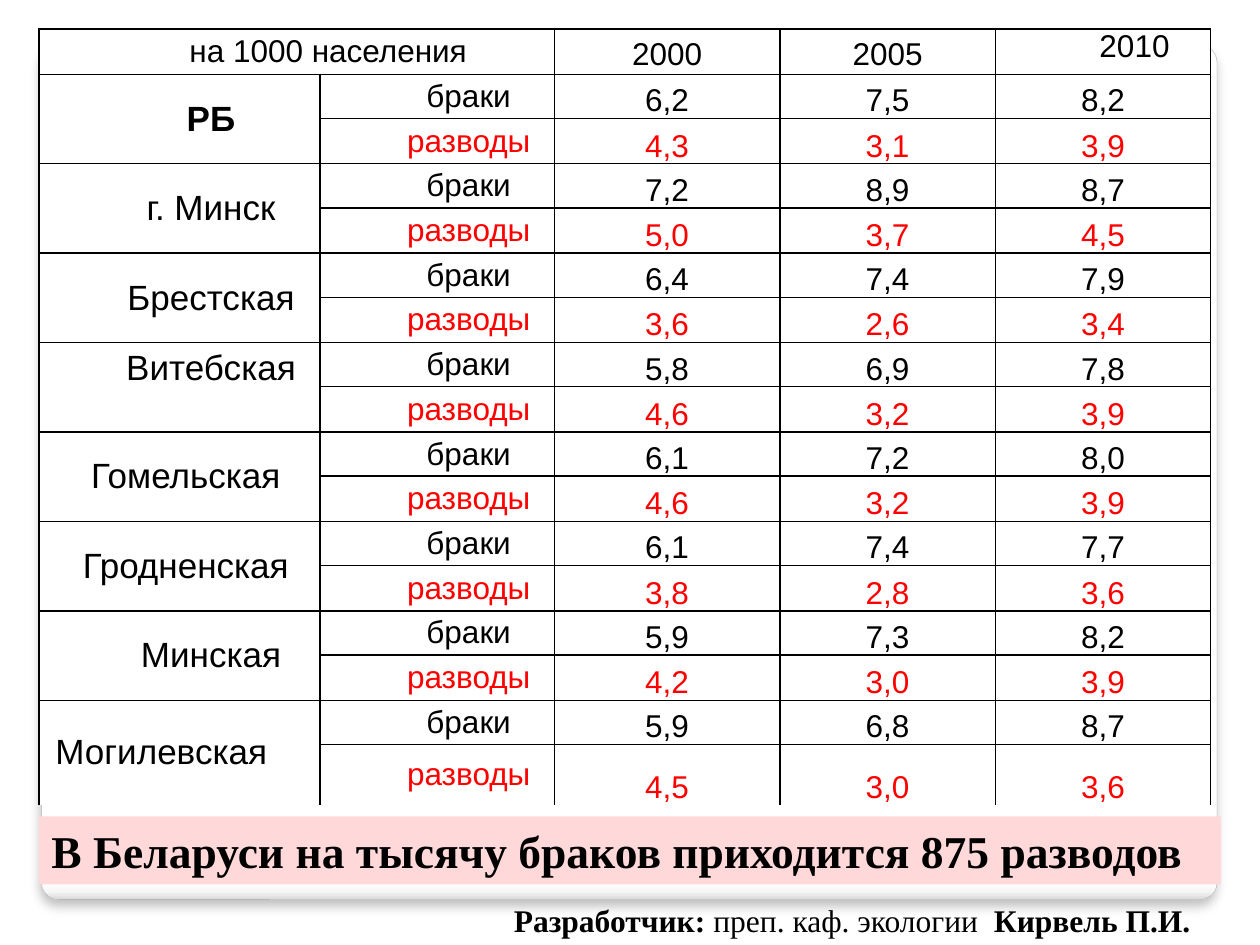
from lxml.etree import SubElement
from pptx import Presentation
from pptx.dml.color import RGBColor
from pptx.enum.shapes import MSO_SHAPE
from pptx.enum.text import MSO_ANCHOR, MSO_AUTO_SIZE, PP_ALIGN
from pptx.oxml.ns import qn
from pptx.util import Inches, Pt

HUES = {"ink": "000000", "red": "FF0000", "white": "FFFFFF",
        "pink": "FFD9D9", "edge": "A4A4A4"}
SHADE = [(0, "FFFFFF"), (98, "FFFFFF"), (99, "F7F7F7"), (100, "DADADA")]
COLS = [2.23, 1.86, 1.79, 1.71, 1.71]
ROWS = [0.36, 0.35] * 8 + [0.48]
YEARS = ["2000", "2005", "2010"]

# Region, first-line indent, marriages, divorces
DATA = [
    ("РБ", 0.5, "6,2 7,5 8,2", "4,3 3,1 3,9"),
    ("г. Минск", 0.5, "7,2 8,9 8,7", "5,0 3,7 4,5"),
    ("Брестская", 0.5, "6,4 7,4 7,9", "3,6 2,6 3,4"),
    ("Витебская", 0.5, "5,8 6,9 7,8", "4,6 3,2 3,9"),
    ("Гомельская", 0.1, "6,1 7,2 8,0", "4,6 3,2 3,9"),
    ("Гродненская", 0.1, "6,1 7,4 7,7", "3,8 2,8 3,6"),
    ("Минская", 0.5, "5,9 7,3 8,2", "4,2 3,0 3,9"),
    ("Могилевская", 0.1, "5,9 6,8 8,7", "4,5 3,0 3,6"),
]


def color(name):
    return RGBColor.from_string(HUES[name])


def style(font, size, face, hue="ink", bold=False):
    font.size, font.name, font.bold = Pt(size), face, bold
    font.color.rgb = color(hue)


def add_card(slide):
    card = slide.shapes.add_shape(MSO_SHAPE.ROUNDED_RECTANGLE, Inches(0.33),
                                  Inches(0.36), Inches(9.33), Inches(6.78))
    card.adjustments[0] = 0.02
    card.line.color.rgb = color("edge")
    card.line.width = Pt(0.16)
    # Gradient with four stops
    card.fill.gradient()
    card.fill.gradient_angle = 270
    props = card.element.spPr
    stops = props.find(qn("a:gradFill")).find(qn("a:gsLst"))
    for stop in list(stops):
        stops.remove(stop)
    for pos, code in SHADE:
        stop = SubElement(stops, qn("a:gs"), pos=str(pos * 1000))
        SubElement(stop, qn("a:srgbClr"), val=code)
    # Soft shadow below
    card.shadow.inherit = False
    glow = SubElement(props.find(qn("a:effectLst")), qn("a:outerShdw"),
                      blurRad=str(Pt(6)), dist=str(Pt(4)), dir="5400000",
                      algn="t", rotWithShape="0")
    tint = SubElement(glow, qn("a:srgbClr"), val=HUES["ink"])
    SubElement(tint, qn("a:alpha"), val="25000")


def set_frame(cell, base):
    props = cell._tc.get_or_add_tcPr()
    for side in "LRTB":
        line = SubElement(props, qn("a:ln" + side), w=str(Pt(1)))
        if side == "B" and not base:
            SubElement(line, qn("a:noFill"))
        else:
            fill = SubElement(line, qn("a:solidFill"))
            SubElement(fill, qn("a:srgbClr"), val=HUES["ink"])
    cell.fill.solid()
    cell.fill.fore_color.rgb = color("white")
    cell.margin_left = cell.margin_right = Inches(0.03)
    cell.margin_top = cell.margin_bottom = 0


def put(cell, text, indent=None, anchor=MSO_ANCHOR.MIDDLE, size=18,
        hue="ink", bold=False):
    cell.text_frame.text = text
    cell.vertical_anchor = anchor
    para = cell.text_frame.paragraphs[0]
    para.alignment = PP_ALIGN.CENTER
    if indent is None:
        para.line_spacing = 1.15
        para.space_after = Pt(10)
    else:
        props = para._p.get_or_add_pPr()
        props.set("marL", "0")
        props.set("indent", str(Inches(indent)))
    style(para.runs[0].font, size, "Arial", hue, bold)


def add_rates(slide):
    table = slide.shapes.add_table(len(ROWS), len(COLS), Inches(0.31),
                                   Inches(0.23), Inches(9.3),
                                   Inches(6.15)).table
    table.first_row = table.horz_banding = False
    for col, width in zip(table.columns, COLS):
        col.width = Inches(width)
    for row, height in zip(table.rows, ROWS):
        row.height = Inches(height)

    # The table is open at the bottom
    last = len(ROWS) - 1
    for r in range(len(ROWS)):
        for c in range(len(COLS)):
            open_end = r == last or (c == 0 and r == last - 1)
            set_frame(table.cell(r, c), not open_end)

    # Header
    table.cell(0, 0).merge(table.cell(0, 1))
    put(table.cell(0, 0), "на 1000 населения", 0.5)
    for c, year in enumerate(YEARS[:2], 2):
        put(table.cell(0, c), year)
    put(table.cell(0, 4), YEARS[2], 0.5, MSO_ANCHOR.TOP)

    # Two rows for each region
    for i, (name, indent, unions, splits) in enumerate(DATA):
        top = 1 + 2 * i
        head = table.cell(top, 0)
        head.merge(table.cell(top + 1, 0))
        put(head, name, indent, size=20, bold=i == 0)
        if name == "Витебская":
            head.margin_bottom = Inches(0.3)
        kinds = [("браки", unions, "ink"), ("разводы", splits, "red")]
        for r, (kind, rates, hue) in enumerate(kinds, top):
            put(table.cell(r, 1), kind, 0.5, hue=hue)
            for c, rate in enumerate(rates.split(), 2):
                put(table.cell(r, c), rate, anchor=MSO_ANCHOR.BOTTOM, hue=hue)
    head.text_frame.paragraphs[0].alignment = PP_ALIGN.JUSTIFY


def write(shape, parts, size):
    frame = shape.text_frame
    frame.word_wrap = True
    frame.auto_size = MSO_AUTO_SIZE.SHAPE_TO_FIT_TEXT
    frame.vertical_anchor = MSO_ANCHOR.TOP
    para = frame.paragraphs[0]
    para.alignment = PP_ALIGN.LEFT
    for text, bold in parts:
        run = para.add_run()
        run.text = text
        style(run.font, size, "Times New Roman", bold=bold)


def add_banner(slide):
    band = slide.shapes.add_shape(MSO_SHAPE.RECTANGLE, Inches(0.31),
                                  Inches(6.48), Inches(9.38), Inches(0.54))
    band.shadow.inherit = False
    band.fill.solid()
    band.fill.fore_color.rgb = color("pink")
    band.line.fill.background()
    write(band, [("В Беларуси на тысячу браков приходится 875 разводов",
                  True)], 26)


def add_credit(slide):
    # Wide enough to keep the credit on one line
    box = slide.shapes.add_textbox(Inches(3.98), Inches(7.1),
                                   Inches(5.95), Inches(0.4))
    write(box, [("Разработчик:", True), (" преп. каф. экологии  ", False),
                ("Кирвель П.И.", True)], 18)


def main():
    deck = Presentation()
    deck.slide_width, deck.slide_height = Inches(10), Inches(7.5)
    slide = deck.slides.add_slide(deck.slide_layouts[6])
    add_card(slide)
    add_rates(slide)
    add_banner(slide)
    add_credit(slide)
    deck.save("out.pptx")


if __name__ == "__main__":
    main()
